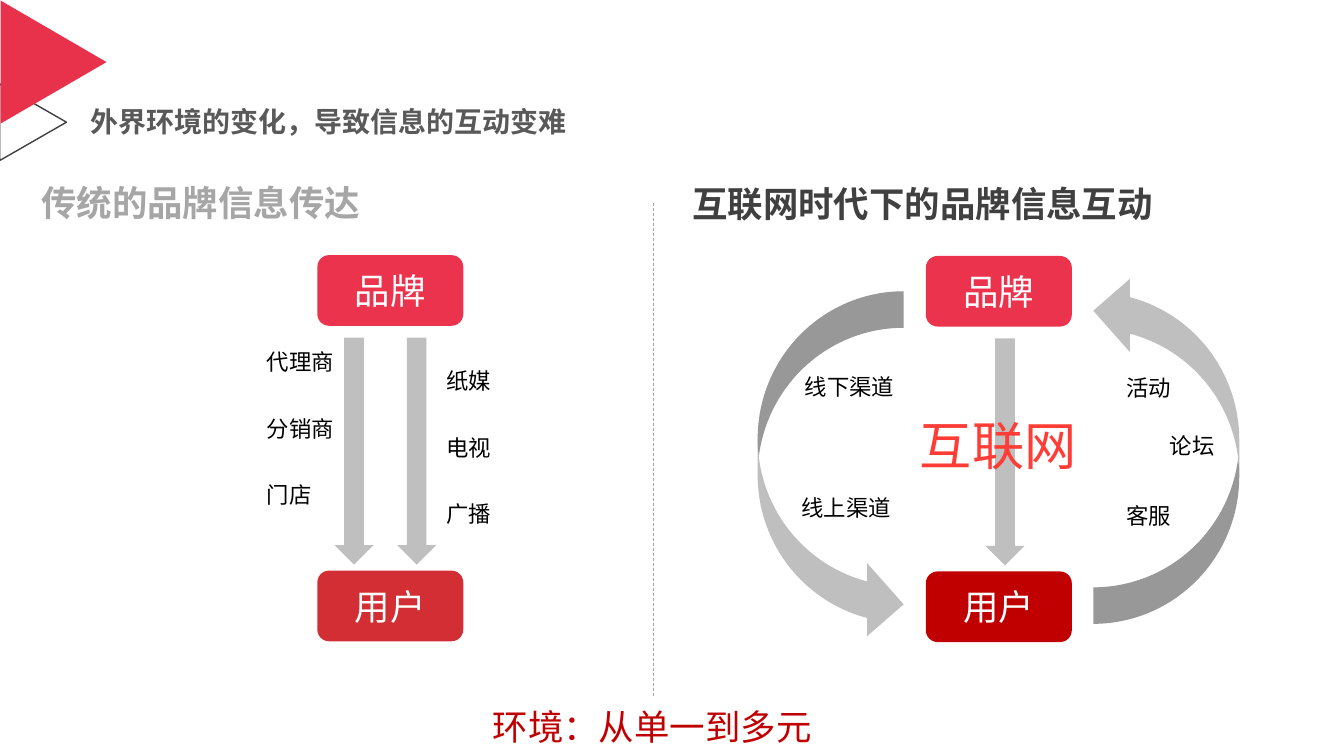
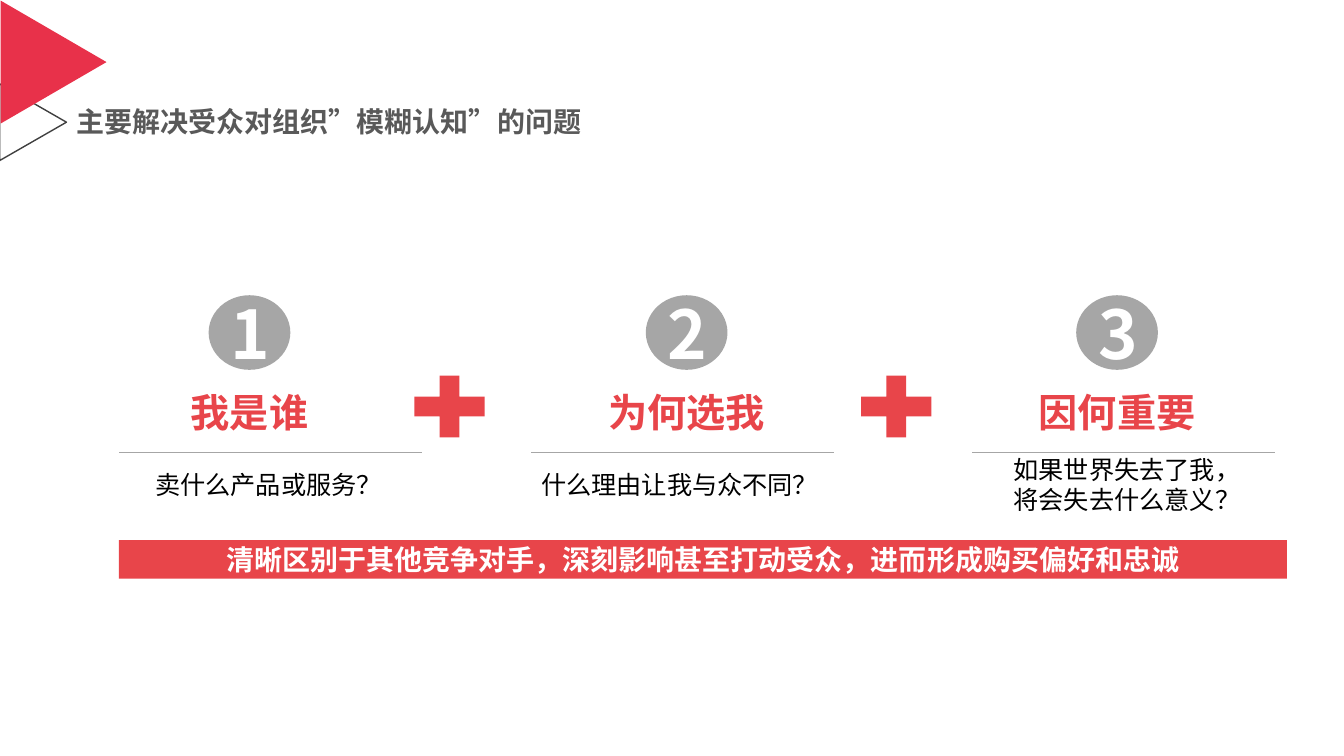
import dataclasses

import pptx
import pptx.dml.color
import pptx.enum.dml
import pptx.enum.shapes
import pptx.enum.text
import pptx.oxml
import pptx.oxml.ns
import pptx.util

Cm, Pt = pptx.util.Cm, pptx.util.Pt
SHAPE = pptx.enum.shapes.MSO_SHAPE
ALIGN = pptx.enum.text.PP_ALIGN


@dataclasses.dataclass(frozen=True)
class Theme:
    font: str = "Noto Sans CJK SC"
    # Colours
    corner: str = "E8314A"
    outline: str = "404040"
    title: str = "595959"
    brand: str = "EC334E"
    user_old: str = "D22E33"
    user_new: str = "C00000"
    internet: str = "FF3D36"
    accent: str = "E8454A"
    arrow: str = "BFBFBF"
    grey: str = "A6A6A6"
    divider: str = "A5A5A5"
    dark: str = "404040"
    black: str = "000000"
    white: str = "FFFFFF"
    # Type sizes in points
    title_pt: float = 20
    heading_pt: float = 25.3
    label_pt: float = 16
    internet_pt: float = 37.3
    question_pt: float = 28
    body_pt: float = 18
    body_line_pt: float = 22
    number_pt: float = 48


T = Theme()


def rgb(color):
    return pptx.dml.color.RGBColor.from_string(color)


def write(sp, text, size, color, bold=False, align=ALIGN.LEFT, line=None):
    """Fill a shape with vertically centred text, one paragraph per line."""
    tf = sp.text_frame
    tf.word_wrap = True
    tf.vertical_anchor = pptx.enum.text.MSO_ANCHOR.MIDDLE
    tf.margin_left = tf.margin_right = Cm(0.25)
    tf.margin_top = tf.margin_bottom = 0
    for i, words in enumerate(text.split("\n")):
        p = tf.paragraphs[0] if i == 0 else tf.add_paragraph()
        p.alignment = align
        if line:
            p.line_spacing = Pt(line)
        r = p.add_run()
        r.text = words
        r.font.name, r.font.size, r.font.bold = T.font, Pt(size), bold
        r.font.color.rgb = rgb(color)
        # East Asian typeface, which follows the latin one
        latin = r.font._element.find(pptx.oxml.ns.qn("a:latin"))
        ea = pptx.oxml.parse_xml(f'<a:ea {pptx.oxml.ns.nsdecls("a")} typeface="{T.font}"/>')
        latin.addnext(ea)


def add_text(s, x, y, w, h, *args, **kwargs):
    sp = s.shapes.add_textbox(Cm(x), Cm(y), Cm(w), Cm(h))
    write(sp, *args, **kwargs)


def add_shape(s, kind, x, y, w, h, fill=None, line=None, rotation=0):
    sp = s.shapes.add_shape(kind, Cm(x), Cm(y), Cm(w), Cm(h))
    sp.shadow.inherit = False
    sp.rotation = rotation
    if fill:
        sp.fill.solid()
        sp.fill.fore_color.rgb = rgb(fill)
    else:
        sp.fill.background()
    if line:
        sp.line.color.rgb = rgb(line)
        sp.line.width = Pt(1)
    else:
        sp.line.fill.background()
    return sp


def add_line(s, x1, y1, x2, y2, color, dash=None):
    c = s.shapes.add_connector(pptx.enum.shapes.MSO_CONNECTOR.STRAIGHT,
                               Cm(x1), Cm(y1), Cm(x2), Cm(y2))
    c.line.color.rgb = rgb(color)
    c.line.width = Pt(0.5)
    c.line.dash_style = dash
    c._element.spPr.append(
        pptx.oxml.parse_xml(f'<a:effectLst {pptx.oxml.ns.nsdecls("a")}/>'))


def new_slide(prs, title, title_x):
    """Slide with the corner triangles and the title."""
    s = prs.slides.add_slide(prs.slide_layouts[6])
    add_shape(s, SHAPE.ISOSCELES_TRIANGLE, -0.13, 2.24, 1.93, 1.68,
              line=T.outline, rotation=90)
    add_shape(s, SHAPE.ISOSCELES_TRIANGLE, -0.2, 0.23, 3.1, 2.67,
              fill=T.corner, rotation=90)
    add_text(s, title_x, 2.56, 14, 1, title, T.title_pt, T.title, bold=True)
    return s


def brand_to_user(s, x, y, user_color, arrow_xs):
    """Brand box above user box, joined by down arrows."""
    for dx in arrow_xs:
        add_shape(s, SHAPE.DOWN_ARROW, x + dx, y + 2.08, 0.99, 5.72, T.arrow)
    for dy, name, color in ((0, "品牌", T.brand), (7.95, "用户", user_color)):
        sp = add_shape(s, SHAPE.ROUNDED_RECTANGLE, x, y + dy, 3.68, 1.78, color)
        write(sp, name, T.heading_pt, T.white, align=ALIGN.CENTER)


def add_label(s, x, y, text):
    add_text(s, x, y, 3.4, 0.94, text, T.label_pt, T.black)


def traditional_panel(s, x, y):
    add_text(s, x, y, 13, 1.35, "传统的品牌信息传达", T.heading_pt, T.grey, bold=True)
    brand_to_user(s, x + 7.21, y + 2.01, T.user_old, (0.43, 2.01))
    # Channel lists on both sides of the arrows
    for dx, dy, names in ((5.69, 4.22, ("代理商", "分销商", "门店")),
                          (10.21, 4.7, ("纸媒", "电视", "广播"))):
        for i, name in enumerate(names):
            add_label(s, x + dx, y + dy + i * 1.68, name)


def internet_panel(s, x, y):
    add_text(s, x, y, 14, 1.35, "互联网时代下的品牌信息互动", T.heading_pt, T.dark, bold=True)
    brand_to_user(s, x + 6.14, y + 2, T.user_new, (1.5,))
    # Loop down on the left and back up on the right
    for dx, dy, rotation in ((1.9, 2.89, 0), (10.36, 2.46, 180)):
        add_shape(s, SHAPE.CURVED_RIGHT_ARROW, x + dx, y + dy, 3.68, 8.81,
                  T.arrow, rotation=rotation)
    for dx, dy, name in ((2.84, 4.82, "线下渠道"), (2.76, 7.87, "线上渠道"),
                         (10.94, 4.85, "活动"), (12.04, 6.32, "论坛"),
                         (10.94, 8.07, "客服")):
        add_label(s, x + dx, y + dy, name)
    add_text(s, x + 5.74, y + 5.84, 6.43, 1.85, "互联网", T.internet_pt, T.internet)


def environment_slide(prs):
    s = new_slide(prs, "外界环境的变化，导致信息的互动变难", 2.02)
    traditional_panel(s, 0.79, 4.42)
    internet_panel(s, 17.2, 4.45)
    add_line(s, 16.48, 5.11, 16.48, 17.58, T.divider,
             pptx.enum.dml.MSO_LINE.DASH)
    add_text(s, 12.17, 17.63, 17.58, 1.35, "环境：从单一到多元", T.heading_pt, T.user_new)


def question_column(s, center, y, rule_x, body_x, number, question, body):
    """Number, question, rule and answer, hung from the top y."""
    sp = add_shape(s, SHAPE.OVAL, center - 1.03, y, 2.06, 1.88, T.grey)
    write(sp, number, T.number_pt, T.white, bold=True, align=ALIGN.CENTER)
    add_text(s, center - 3.5, y + 2.2, 7, 1.5, question, T.question_pt, T.accent,
             bold=True, align=ALIGN.CENTER)
    add_line(s, rule_x, y + 3.96, rule_x + 7.64, y + 3.96, T.grey)
    add_text(s, body_x, y + 3.96, 7.67, 1.6, body, T.body_pt, T.black,
             line=T.body_line_pt)


def questions_slide(prs):
    s = new_slide(prs, "主要解决受众对组织”模糊认知”的问题", 1.68)
    top = 7.44
    columns = (
        (6.29, 3, 3.66, "我是谁", "卖什么产品或服务？"),
        (17.31, 13.39, 13.39, "为何选我", "什么理由让我与众不同？"),
        (28.16, 24.51, 25.3, "因何重要", "如果世界失去了我，\n将会失去什么意义？"),
    )
    for i, (center, rule_x, body_x, question, body) in enumerate(columns, 1):
        question_column(s, center, top, rule_x, body_x, str(i), question, body)
    # Plus signs between the columns
    for x in (10.13, 21.39):
        add_shape(s, SHAPE.MATH_PLUS, x, top + 1.75, 2.41, 2.11, T.accent)
    # Conclusion bar
    bar = add_shape(s, SHAPE.RECTANGLE, 3, top + 6.17, 29.44, 0.97, T.accent)
    write(bar, "清晰区别于其他竞争对手，深刻影响甚至打动受众，进而形成购买偏好和忠诚",
          T.title_pt, T.white, bold=True, align=ALIGN.CENTER)


def main():
    prs = pptx.Presentation()
    prs.slide_width, prs.slide_height = Cm(33.88), Cm(19.05)
    environment_slide(prs)
    questions_slide(prs)
    prs.save("out.pptx")


if __name__ == "__main__":
    main()
